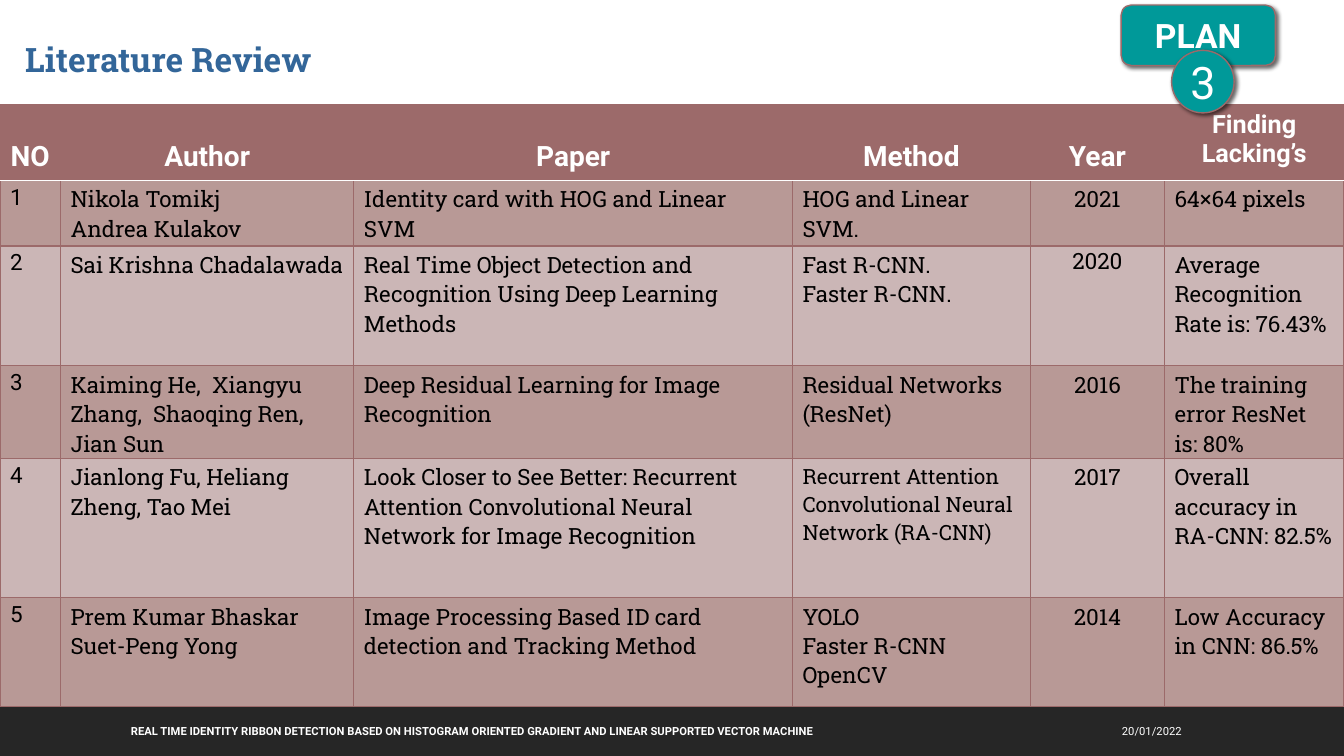
from pptx import Presentation
from pptx.util import Inches, Pt
from pptx.dml.color import RGBColor
from pptx.enum.shapes import MSO_SHAPE as SHAPE
from pptx.enum.text import PP_ALIGN as ALIGN, MSO_ANCHOR as ANCHOR
from pptx.oxml import parse_xml
from pptx.oxml.ns import nsdecls

ROSE, WHITE, TEAL = "9C6A6A", "FFFFFF", "009999"
BODY, HEAD = "Roboto", "Roboto Slab"


def rgb(value):
    return RGBColor.from_string(value)


def style(tf, size, font, color, bold=False, align=ALIGN.LEFT):
    for p in tf.paragraphs:
        p.alignment = align
        for r in p.runs:
            r.font.size, r.font.name, r.font.bold = Pt(size), font, bold
            r.font.color.rgb = rgb(color)


prs = Presentation()
prs.slide_width, prs.slide_height = Inches(13.33), Inches(7.5)
s = prs.slides.add_slide(prs.slide_layouts[5])

# Footer bar and its two texts
bar = s.shapes.add_shape(SHAPE.RECTANGLE, 0, Inches(7), prs.slide_width, Inches(0.5))
bar.shadow.inherit = False
bar.fill.solid()
bar.fill.fore_color.rgb = rgb("262626")
bar.line.fill.background()

footers = [
    (8.99, 2.83, "20/01/2022", False, ALIGN.RIGHT),
    (1.2, 7.46, "REAL TIME IDENTITY RIBBON DETECTION BASED ON HISTOGRAM ORIENTED "
     "GRADIENT AND LINEAR SUPPORTED VECTOR MACHINE", True, ALIGN.LEFT),
]
for left, width, text, bold, align in footers:
    tf = s.shapes.add_textbox(Inches(left), Inches(7.05), Inches(width), Inches(0.4)).text_frame
    tf.word_wrap = True
    tf.vertical_anchor = ANCHOR.MIDDLE
    tf.text = text
    style(tf, 8, BODY, WHITE, bold, align)

# Title
title = s.shapes.title
title.left, title.top = Inches(0.15), Inches(0.34)
title.width, title.height = Inches(3.42), Inches(0.5)
tf = title.text_frame
tf.text = "Literature Review"
tf.vertical_anchor = ANCHOR.TOP
style(tf, 24, HEAD, "336699", True)

# Literature table
rows = [
    ["NO", "Author", "Paper", "Method", "Year", "Finding Lacking’s"],
    ["1", "Nikola Tomikj\nAndrea Kulakov", "Identity card with HOG and Linear SVM",
     "HOG and Linear SVM.", "2021", "64×64 pixels"],
    ["2", "Sai Krishna Chadalawada",
     "Real Time Object Detection and Recognition Using Deep Learning Methods",
     "Fast R-CNN.\nFaster R-CNN.", "2020", "Average Recognition Rate is: 76.43%"],
    ["3", "Kaiming He,  Xiangyu Zhang,  Shaoqing Ren, Jian Sun",
     "Deep Residual Learning for Image Recognition",
     "Residual Networks (ResNet)", "2016", "The training error ResNet is: 80%"],
    ["4", "Jianlong Fu, Heliang Zheng, Tao Mei",
     "Look Closer to See Better: Recurrent Attention Convolutional Neural "
     "Network for Image Recognition",
     "Recurrent Attention Convolutional Neural Network (RA-CNN)", "2017",
     "Overall accuracy in RA-CNN: 82.5%"],
    ["5", "Prem Kumar Bhaskar\vSuet-Peng Yong",
     "Image Processing Based ID card detection and Tracking Method",
     "YOLO\nFaster R-CNN\nOpenCV", "2014", "Low Accuracy in CNN: 86.5%"],
]
col_widths = [0.6, 2.91, 4.35, 2.36, 1.33, 1.78]
row_heights = [0.75, 0.65, 1.19, 0.92, 1.38, 1.08]
NO, METHOD, YEAR, FINDING = 0, 3, 4, 5

table = s.shapes.add_table(len(rows), len(col_widths), 0, Inches(1.04),
                           prs.slide_width, Inches(sum(row_heights))).table
table.horz_banding = False
for col, width in zip(table.columns, col_widths):
    col.width = Inches(width)
for row, height in zip(table.rows, row_heights):
    row.height = Inches(height)

for i, texts in enumerate(rows):
    for j, text in enumerate(texts):
        cell = table.cell(i, j)
        tf = cell.text_frame
        tf.text = text
        cell.fill.solid()
        if i == 0:
            cell.fill.fore_color.rgb = rgb(ROSE)
            cell.vertical_anchor = ANCHOR.TOP if j == FINDING else ANCHOR.BOTTOM
            cell.margin_bottom = Inches(0.07)
            style(tf, 18 if j == FINDING else 20, BODY, WHITE, True, ALIGN.CENTER)
        else:
            cell.fill.fore_color.rgb = rgb("B89996" if i % 2 else "CBB6B6")
            cell.margin_top, cell.margin_bottom = Inches(0.04), 0
            style(tf, 15 if (i, j) == (4, METHOD) else 16, BODY if j == NO else HEAD,
                  "000000", align=ALIGN.CENTER if j == YEAR else ALIGN.LEFT)
        if text == "2020":
            cell.margin_left = cell.margin_right = Inches(0.07)
            cell.margin_top = 0
            tf.paragraphs[0].space_after = Pt(12)

        # Cell borders: rose grid, white rule under the header
        for k, side in enumerate("LRTB"):
            rule = (i, side) in [(0, "B"), (1, "T")]
            color, width = (WHITE, 1.25) if rule else (ROSE, 1)
            cell._tc.get_or_add_tcPr().insert(k, parse_xml(
                f'<a:ln{side} {nsdecls("a")} w="{Pt(width)}"><a:solidFill>'
                f'<a:srgbClr val="{color}"/></a:solidFill></a:ln{side}>'))

# Plan badge
badge = [
    (SHAPE.ROUNDED_RECTANGLE, 11.12, 0.05, 1.53, 0.6, "PLAN", 24, True),
    (SHAPE.FLOWCHART_CONNECTOR, 11.62, 0.5, 0.62, 0.62, "3", 32, False),
]
for kind, left, top, width, height, text, size, bold in badge:
    sp = s.shapes.add_shape(kind, Inches(left), Inches(top), Inches(width), Inches(height))
    sp.fill.solid()
    sp.fill.fore_color.rgb = rgb(TEAL)
    sp.line.color.rgb = rgb(ROSE)
    sp.line.width = Pt(1)
    sp.shadow.inherit = False
    sp._element.spPr.find("{*}effectLst").append(parse_xml(
        f'<a:outerShdw {nsdecls("a")} blurRad="{Pt(3)}" dist="{Pt(2)}" dir="2700000">'
        '<a:srgbClr val="000000"><a:alpha val="60000"/></a:srgbClr></a:outerShdw>'))
    tf = sp.text_frame
    tf.margin_left = tf.margin_right = tf.margin_top = tf.margin_bottom = 0
    tf.vertical_anchor = ANCHOR.MIDDLE
    tf.text = text
    style(tf, size, BODY, WHITE, bold, ALIGN.CENTER)

prs.save("out.pptx")
